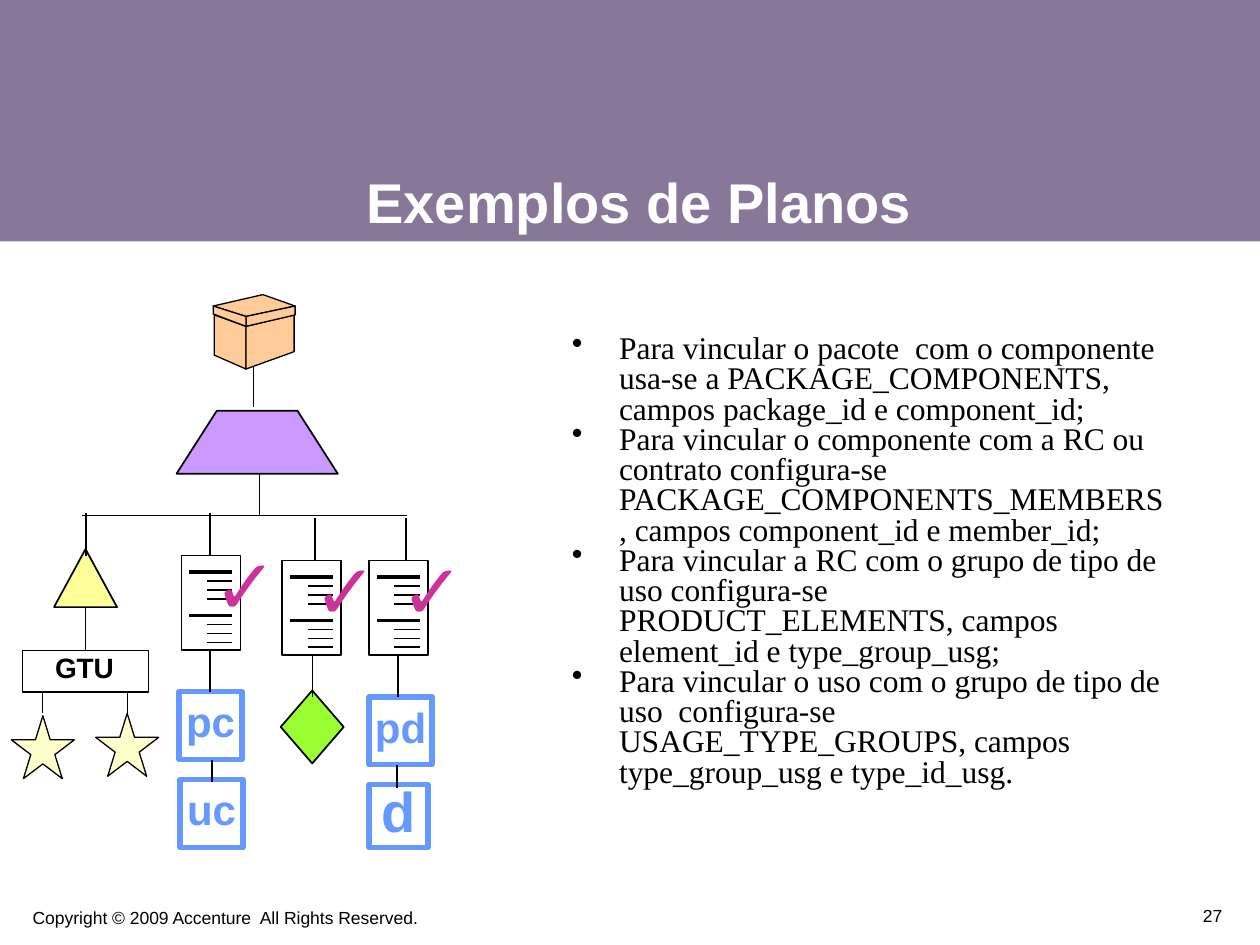
"""Build the plan examples slide."""
from dataclasses import dataclass

from lxml import etree
from pptx import Presentation
from pptx import util as u
from pptx.dml.color import RGBColor
from pptx.enum import shapes, text
from pptx.oxml.ns import qn


@dataclass(frozen=True)
class Theme:
    """Colours, fonts and type sizes of the slide."""
    banner: str = "887799"
    white: str = "FFFFFF"
    black: str = "000000"
    carton: str = "FFCC99"
    component: str = "CC99FF"
    contract: str = "FFFF99"
    usage: str = "FFFFCC"
    discount: str = "99FF33"
    code: str = "6699FF"
    check: str = "CC3399"
    sans: str = "Arial"
    serif: str = "Times New Roman"
    title_size: int = 32
    body_size: int = 18
    footer_size: int = 10
    group_size: int = 16
    code_size: int = 24
    check_size: int = 44


THEME = Theme()

BULLETS = [
    "Para vincular o pacote  com o componente usa-se a PACKAGE_COMPONENTS, "
    "campos package_id e component_id;",
    "Para vincular o componente com a RC ou contrato configura-se "
    "PACKAGE_COMPONENTS_MEMBERS, campos component_id e member_id;",
    "Para vincular a RC com o grupo de tipo de uso configura-se  "
    "PRODUCT_ELEMENTS, campos element_id e type_group_usg;",
    "Para vincular o uso com o grupo de tipo de uso  configura-se  "
    "USAGE_TYPE_GROUPS, campos type_group_usg e type_id_usg.",
]

CARTON_FACES = [
    [(4.32, 6.35), (4.32, 7.16), (4.96, 7.44), (4.96, 6.58)],
    [(5.93, 6.35), (5.93, 7.09), (4.96, 7.44), (4.96, 6.58)],
    [(5.95, 6.17), (5.3, 5.94), (4.3, 6.17), (4.96, 6.38)],
    [(4.96, 6.38), (4.96, 6.58), (5.95, 6.35), (5.95, 6.17)],
    [(4.3, 6.17), (4.3, 6.33), (4.96, 6.58), (4.96, 6.38)],
]

DOCUMENTS = [(3.66, 11.2), (5.69, 11.3), (7.44, 11.3)]

CODE_BOXES = [
    ("pc", 3.61, 13.94, 1.27, 1.37, THEME.code_size),
    ("uc", 3.63, 15.72, 1.27, 1.37, THEME.code_size),
    ("pd", 7.44, 14.05, 1.27, 1.37, THEME.code_size),
    ("d", 7.44, 15.82, 1.19, 1.27, THEME.title_size),
]

VERTICAL_LINKS = [
    (5.11, 7.37, 8.2, 1), (5.23, 9.55, 10.39, 1),
    (1.73, 10.34, 11.2, 1), (4.24, 10.34, 11.2, 1),
    (6.35, 10.44, 11.28, 1), (8.18, 10.44, 11.28, 1),
    (4.24, 13.11, 13.94, 1), (6.3, 13.18, 14.05, 1), (8.03, 13.18, 14.05, 1),
    (4.27, 15.32, 15.77, 1), (8.0, 15.42, 15.88, 1),
    (1.73, 12.24, 13.11, 0.75), (0.86, 13.94, 14.38, 0.75), (2.57, 13.94, 14.38, 0.75),
]


def colour(value):
    """Turn a hex string into a colour."""
    return RGBColor.from_string(value)


def paint(shape, fill=None, line=None, weight=1):
    """Set the fill and outline of a shape and remove its shadow."""
    shape.shadow.inherit = False
    if fill:
        shape.fill.solid()
        shape.fill.fore_color.rgb = colour(fill)
    else:
        shape.fill.background()
    if line:
        shape.line.color.rgb = colour(line)
        shape.line.width = u.Pt(weight)
    else:
        shape.line.fill.background()


def add_bullet(paragraph, indent):
    """Give a paragraph a hanging round bullet."""
    properties = paragraph._p.get_or_add_pPr()
    properties.set("marL", str(indent))
    properties.set("indent", str(-indent))
    bullet_colour = etree.SubElement(properties, qn("a:buClr"))
    etree.SubElement(bullet_colour, qn("a:srgbClr"), val=THEME.black)
    etree.SubElement(properties, qn("a:buChar"), char="•")


def write_text(shape, content, *, size, color=THEME.black, font=THEME.sans, bold=False,
               align=text.PP_ALIGN.LEFT, anchor=text.MSO_ANCHOR.TOP,
               margins=(0.25, 0.13), spacing=0.8, wrap=True, bullet=False):
    """Write one paragraph per line of content in the given format."""
    frame = shape.text_frame
    frame.word_wrap = wrap
    frame.vertical_anchor = anchor
    frame.margin_left = frame.margin_right = u.Cm(margins[0])
    frame.margin_top = frame.margin_bottom = u.Cm(margins[1])
    frame.text = content
    for paragraph in frame.paragraphs:
        paragraph.alignment = align
        paragraph.line_spacing = spacing
        if bullet:
            add_bullet(paragraph, u.Cm(0.95))
        for run in paragraph.runs:
            run.font.size = u.Pt(size)
            run.font.name = font
            run.font.bold = bold
            run.font.color.rgb = colour(color)


def add_text(slide, content, left, top, width, height, **style):
    """Add a text box."""
    box = slide.shapes.add_textbox(u.Cm(left), u.Cm(top), u.Cm(width), u.Cm(height))
    write_text(box, content, **style)


def add_block(slide, kind, left, top, width, height, **look):
    """Add a painted preset shape."""
    shape = slide.shapes.add_shape(kind, u.Cm(left), u.Cm(top), u.Cm(width), u.Cm(height))
    paint(shape, **look)
    return shape


def add_line(slide, x1, y1, x2, y2, weight=1):
    """Add a straight black line."""
    line = slide.shapes.add_connector(
        shapes.MSO_CONNECTOR.STRAIGHT, u.Cm(x1), u.Cm(y1), u.Cm(x2), u.Cm(y2))
    line.line.color.rgb = colour(THEME.black)
    line.line.width = u.Pt(weight)
    etree.SubElement(line._element.spPr, qn("a:effectLst"))


def add_carton(slide):
    """Draw the package as the faces of a closed carton."""
    for face in CARTON_FACES:
        points = [(u.Cm(x), u.Cm(y)) for x, y in face]
        builder = slide.shapes.build_freeform(*points[0])
        builder.add_line_segments(points[1:], close=True)
        paint(builder.convert_to_shape(), fill=THEME.carton, line=THEME.black, weight=0)


def add_document(slide, left, top):
    """Draw a checked page with two headed blocks of lines."""
    add_block(slide, shapes.MSO_SHAPE.RECTANGLE, left, top, 1.19, 1.91,
              fill=THEME.white, line=THEME.black)
    for block in range(2):
        for row in range(4):
            y = top + 0.33 + 0.88 * block + 0.18 * row
            start, weight = (0.51, 1) if row else (0.15, 2)
            add_line(slide, left + start, y, left + 1.02, y, weight)
    add_text(slide, "✓", left + 0.64, top, 0.43, 1.5, size=THEME.check_size,
             color=THEME.check, bold=True, margins=(0, 0))


def add_code_box(slide, label, left, top, width, height, size):
    """Draw an outlined box with a short code."""
    box = add_block(slide, shapes.MSO_SHAPE.RECTANGLE, left, top, width, height,
                    line=THEME.code, weight=3)
    write_text(box, label, size=size, color=THEME.code, bold=True, margins=(0, 0),
               align=text.PP_ALIGN.CENTER, anchor=text.MSO_ANCHOR.MIDDLE)


def add_plan_tree(slide):
    """Draw the tree from the package down to its members."""
    kinds = shapes.MSO_SHAPE
    add_carton(slide)
    component = add_block(slide, kinds.TRAPEZOID, 3.56, 8.28, 3.25, 1.27,
                          fill=THEME.component, line=THEME.black)
    component.adjustments[0] = 0.64
    add_block(slide, kinds.ISOSCELES_TRIANGLE, 1.09, 11.07, 1.27, 1.17,
              fill=THEME.contract, line=THEME.black)
    add_block(slide, kinds.DIAMOND, 5.66, 13.92, 1.27, 1.47,
              fill=THEME.discount, line=THEME.black)
    add_block(slide, kinds.RECTANGLE, 0.46, 13.11, 2.54, 0.84, line=THEME.black, weight=0.75)
    add_text(slide, "GTU", 0.86, 13.11, 1.7, 0.81, size=THEME.group_size, bold=True, wrap=False)
    for left, top in [(1.93, 14.38), (0.23, 14.43)]:
        add_block(slide, kinds.STAR_5_POINT, left, top, 1.27, 1.27,
                  fill=THEME.usage, line=THEME.black, weight=0.75)
    for document in DOCUMENTS:
        add_document(slide, *document)
    for code_box in CODE_BOXES:
        add_code_box(slide, *code_box)
    add_line(slide, 1.65, 10.39, 8.2, 10.39, 0.75)
    for x, top, bottom, weight in VERTICAL_LINKS:
        add_line(slide, x, top, x, bottom, weight)


def main():
    """Build and save the slide."""
    presentation = Presentation()
    presentation.slide_width, presentation.slide_height = u.Cm(25.4), u.Cm(19.05)
    slide = presentation.slides.add_slide(presentation.slide_layouts[6])
    add_block(slide, shapes.MSO_SHAPE.RECTANGLE, 0, 0, 25.4, 4.87, fill=THEME.banner)
    add_text(slide, "Exemplos de Planos", 7.14, 1.7, 12.4, 3.17, size=THEME.title_size,
             color=THEME.white, bold=True, anchor=text.MSO_ANCHOR.BOTTOM, spacing=1.0)
    add_plan_tree(slide)
    add_text(slide, "\n".join(BULLETS), 11.53, 6.63, 12.07, 9.78, size=THEME.body_size,
             font=THEME.serif, margins=(0, 0.13), bullet=True)
    add_text(slide, "Copyright © 2009 Accenture  All Rights Reserved.", 0.41, 18.24, 8.31, 0.61,
             size=THEME.footer_size, wrap=False)
    add_text(slide, "27", 20.19, 18.06, 4.7, 0.74, size=THEME.footer_size,
             align=text.PP_ALIGN.RIGHT, anchor=text.MSO_ANCHOR.BOTTOM)
    presentation.save("out.pptx")


if __name__ == "__main__":
    main()
